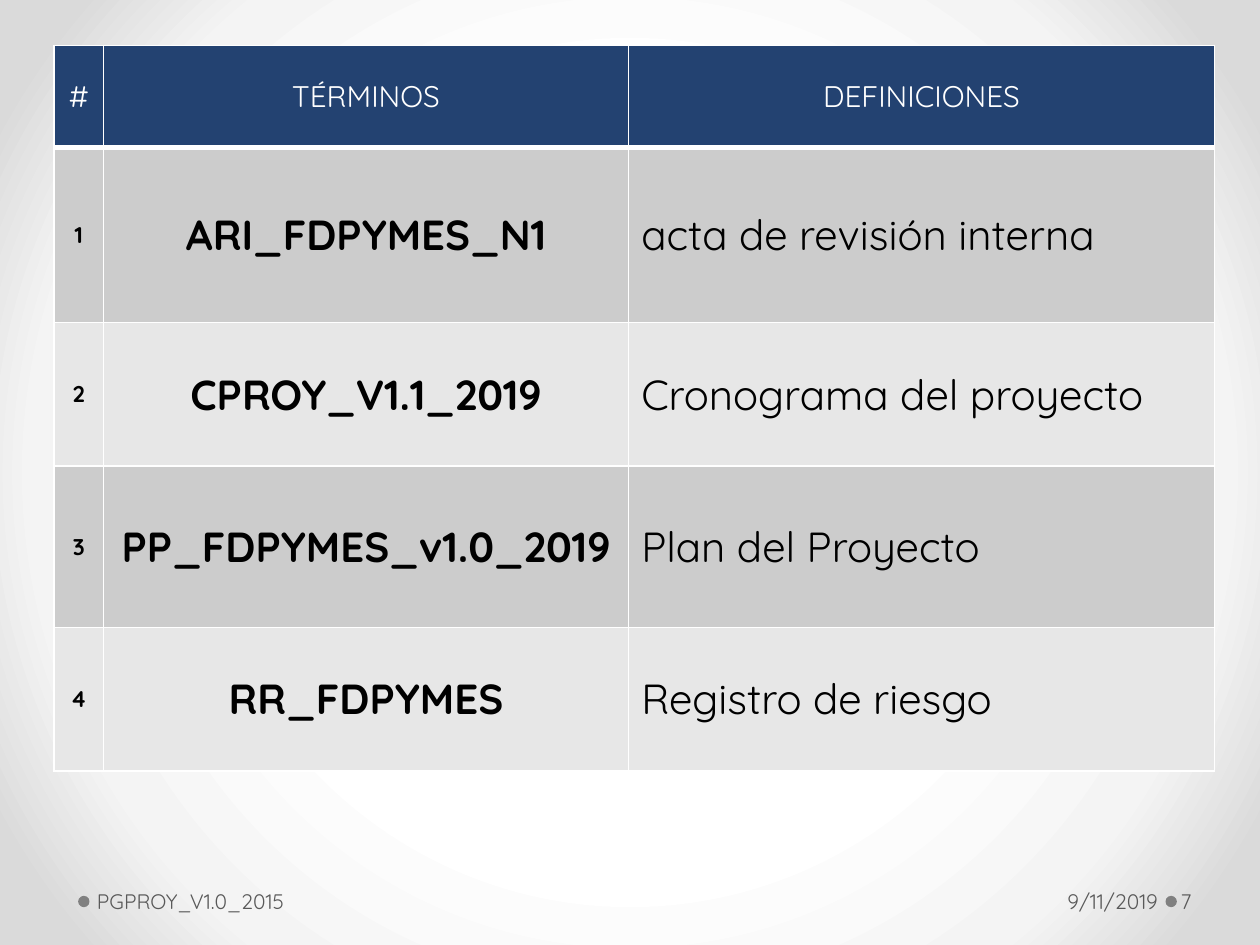
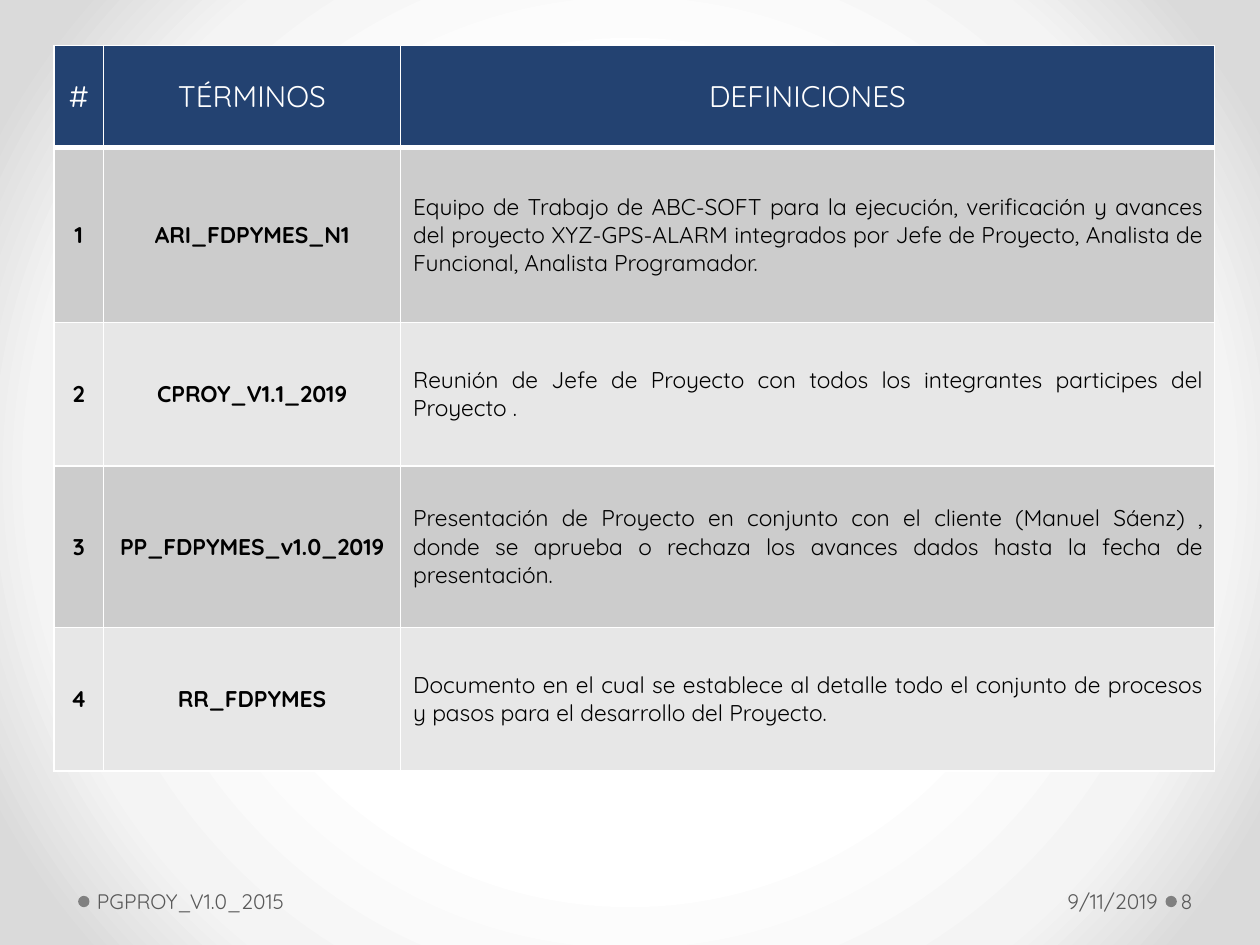
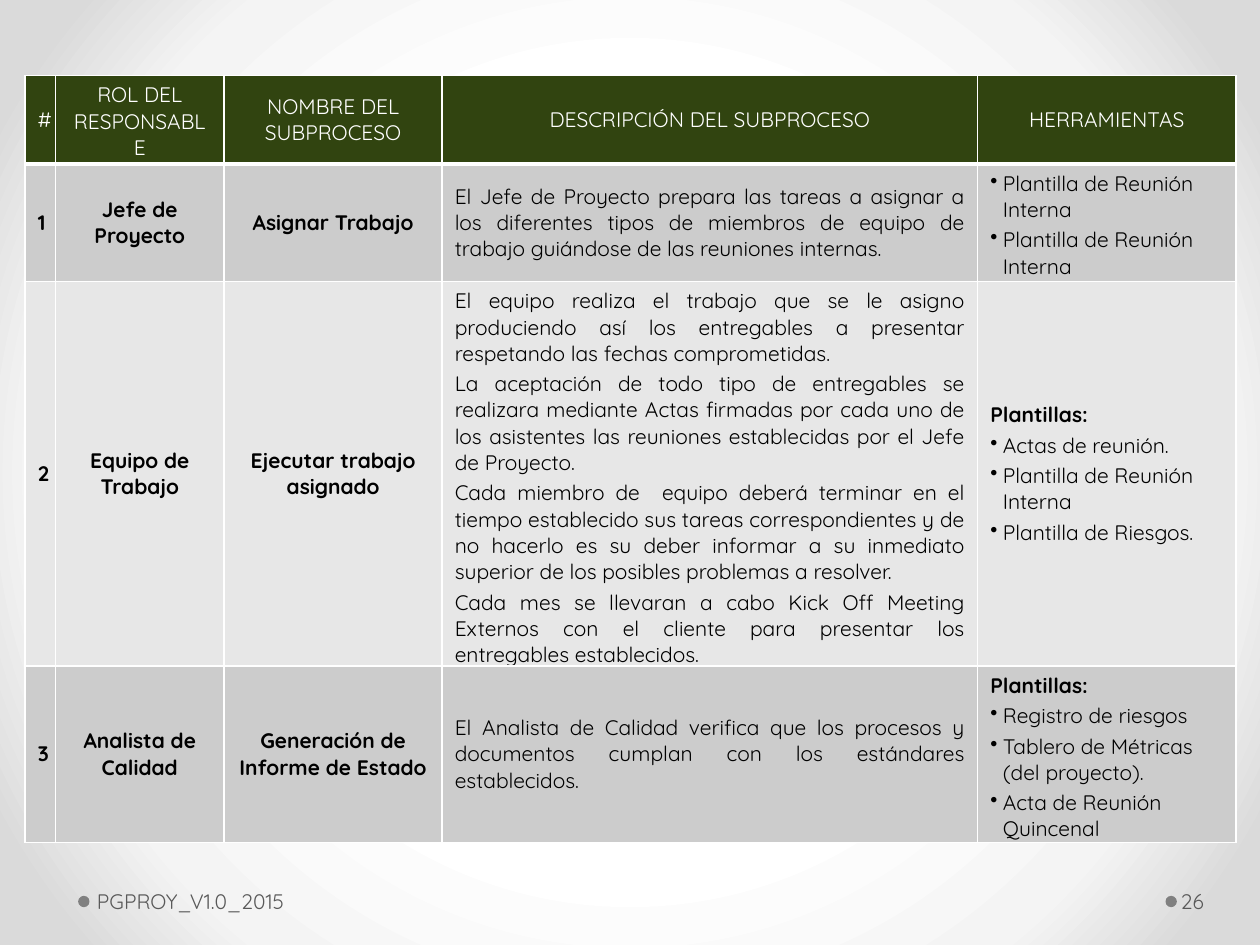
from dataclasses import dataclass
from typing import Optional

from pptx import Presentation
from pptx.dml.color import RGBColor
from pptx.enum.shapes import MSO_SHAPE
from pptx.enum.text import MSO_ANCHOR, PP_ALIGN
from pptx.oxml import parse_xml
from pptx.oxml.ns import nsdecls, qn
from pptx.slide import Slide
from pptx.table import _Cell
from pptx.text.text import _Paragraph
from pptx.util import Pt

EMU_PER_PX = 9144
FONT = "Quicksand"
COLORS = {
    "white": "FFFFFF",
    "black": "000000",
    "glow_mid": "F4F4F4",
    "glow_edge": "DADADA",
    "dot": "808080",
    "footer": "595959",
    "navy": "234271",
    "olive": "314410",
    "band_dark": "CCCCCC",
    "band_light": "E7E7E7",
}
GLOW_STOPS = [(50, "white"), (76, "glow_mid"), (92, "glow_edge")]
DOT_LEFTS = [925, 62]
DOT_TOP, DOT_SIZE = 711, 9
FOOTER_TOP, FOOTER_HEIGHT = 695, 40
FOOTER_SIZE = 12
BULLET_INDENT = 10


@dataclass(frozen=True)
class Column:
    """Heading, width and text style of one table column."""
    heading: str
    width: int
    size: int
    align: PP_ALIGN = PP_ALIGN.CENTER
    bold: bool = False
    spaced: bool = True
    bulleted: bool = False


@dataclass(frozen=True)
class Grid:
    """A table with a coloured heading row and banded entries."""
    left: int
    top: int
    heading_color: str
    heading_size: int
    columns: list[Column]
    row_heights: list[int]
    entries: list[tuple[str, ...]]


@dataclass(frozen=True)
class Page:
    """One slide: its number, optional date and table."""
    number: int
    date: Optional[str]
    grid: Grid


@dataclass(frozen=True)
class FooterField:
    """Place, side insets and alignment of a footer text."""
    left: int
    width: int
    inset_left: int
    inset_right: int
    align: PP_ALIGN = PP_ALIGN.LEFT


NUMBER_FIELD = FooterField(934, 61, 3, 5)
DOCUMENT_FIELD = FooterField(72, 396, 5, 10)
DATE_FIELD = FooterField(696, 228, 10, 5, PP_ALIGN.RIGHT)

TERMS = ["ARI_FDPYMES_N1", "CPROY_V1.1_2019", "PP_FDPYMES_v1.0_2019", "RR_FDPYMES"]
SHORT_DEFINITIONS = [
    "acta de revisión interna",
    "Cronograma del proyecto",
    "Plan del Proyecto",
    "Registro de riesgo",
]
LONG_DEFINITIONS = [
    "Equipo de Trabajo de ABC-SOFT para la ejecución, verificación y avances del "
    "proyecto XYZ-GPS-ALARM integrados por Jefe de Proyecto, Analista de Funcional, "
    "Analista Programador.",
    "Reunión de Jefe de Proyecto con todos los integrantes participes del Proyecto .",
    "Presentación de Proyecto en conjunto con el cliente (Manuel Sáenz) , donde se "
    "aprueba o rechaza los avances dados hasta la fecha de presentación.",
    "Documento en el cual se establece al detalle todo el conjunto de procesos y pasos "
    "para el desarrollo del Proyecto.",
]
SUBPROCESSES = [
    (
        "1", "Jefe de Proyecto", "Asignar Trabajo",
        "El Jefe de Proyecto prepara las tareas a asignar a los diferentes tipos de "
        "miembros de equipo de trabajo guiándose de las reuniones internas.",
        "Plantilla de Reunión Interna\nPlantilla de Reunión Interna",
    ),
    (
        "2", "Equipo de Trabajo", "Ejecutar trabajo asignado",
        "El equipo realiza el trabajo que se le asigno produciendo así los entregables "
        "a presentar respetando las fechas comprometidas.\n"
        "La aceptación de todo tipo de entregables se realizara mediante Actas firmadas "
        "por cada uno de los asistentes las reuniones establecidas por el Jefe de Proyecto.\n"
        "Cada miembro de  equipo deberá terminar en el tiempo establecido sus tareas "
        "correspondientes y de no hacerlo es su deber informar a su inmediato superior "
        "de los posibles problemas a resolver.\n"
        "Cada mes se llevaran a cabo Kick Off Meeting Externos con el cliente para "
        "presentar los entregables establecidos.",
        "Plantillas:\nActas de reunión.\nPlantilla de Reunión Interna\nPlantilla de Riesgos.",
    ),
    (
        "3", "Analista de Calidad", "Generación de Informe de Estado",
        "El Analista de Calidad verifica que los procesos y documentos cumplan con los "
        "estándares establecidos.",
        "Plantillas:\nRegistro de riesgos\nTablero de Métricas (del proyecto).\n"
        "Acta de Reunión Quincenal",
    ),
]


def px(length: int) -> int:
    """Turn px into EMU."""
    return length * EMU_PER_PX


def rgb(color: str) -> RGBColor:
    """Look up a named colour."""
    return RGBColor.from_string(COLORS[color])


def glossary(term_width: int, definition_width: int, size: int, definitions: list[str]) -> Grid:
    """Describe a table of the project terms with the given definitions."""
    columns = [
        Column("#", 39, 13, bold=True, spaced=False),
        Column("TÉRMINOS", term_width, size, bold=True),
        Column("DEFINICIONES", definition_width, size, PP_ALIGN.JUSTIFY),
    ]
    entries = [
        (str(order), term, definition)
        for order, (term, definition) in enumerate(zip(TERMS, definitions), 1)
    ]
    return Grid(43, 36, "navy", 17, columns, [81, 139, 114, 128, 114], entries)


SUBPROCESS_GRID = Grid(
    20, 60, "olive", 12,
    [
        Column("#", 24, 12, bold=True),
        Column("ROL DEL RESPONSABLE", 134, 12, bold=True),
        Column("NOMBRE DEL SUBPROCESO", 173, 12, bold=True),
        Column("DESCRIPCIÓN DEL SUBPROCESO", 425, 12, PP_ALIGN.JUSTIFY),
        Column("HERRAMIENTAS", 205, 12, PP_ALIGN.LEFT, bulleted=True),
    ],
    [70, 93, 305, 140],
    SUBPROCESSES,
)
PAGES = [
    Page(7, "9/11/2019", glossary(417, 465, 24, SHORT_DEFINITIONS)),
    Page(8, "9/11/2019", glossary(236, 646, 13, LONG_DEFINITIONS)),
    Page(26, None, SUBPROCESS_GRID),
]


def style_paragraph(paragraph: _Paragraph, size: int, color: str,
                    align: PP_ALIGN, bold: bool = False) -> None:
    """Align a paragraph and format its runs."""
    paragraph.alignment = align
    for run in paragraph.runs:
        run.font.name = FONT
        run.font.size = Pt(size)
        run.font.bold = bold
        run.font.color.rgb = rgb(color)


def add_bullet(paragraph: _Paragraph) -> None:
    """Give a paragraph a hanging bullet."""
    properties = paragraph._p.get_or_add_pPr()
    properties.set("marL", str(px(BULLET_INDENT)))
    properties.set("indent", str(-px(BULLET_INDENT)))
    properties.append(parse_xml(f'<a:buChar {nsdecls("a")} char="•"/>'))


def paint_cell(cell: _Cell, fill: str, bottom_width: int = 1) -> None:
    """Draw the white borders and the fill of a cell."""
    properties = cell._tc.get_or_add_tcPr()
    for side, width in (("L", 1), ("R", 1), ("T", 1), ("B", bottom_width)):
        properties.append(parse_xml(
            f'<a:ln{side} {nsdecls("a")} w="{Pt(width)}"><a:solidFill>'
            f'<a:srgbClr val="{COLORS["white"]}"/></a:solidFill></a:ln{side}>'
        ))
    cell.fill.solid()
    cell.fill.fore_color.rgb = rgb(fill)
    cell.vertical_anchor = MSO_ANCHOR.MIDDLE


def fill_entry(cell: _Cell, text: str, column: Column) -> None:
    """Write an entry in the style of its column."""
    cell.text_frame.text = text
    for paragraph in cell.text_frame.paragraphs:
        subheading = column.bulleted and paragraph.text.endswith(":")
        style_paragraph(paragraph, column.size, "black", column.align, column.bold or subheading)
        if column.spaced:
            paragraph.space_before = Pt(column.size * 0.2)
        if column.bulleted and not subheading:
            add_bullet(paragraph)


def add_grid(slide: Slide, grid: Grid) -> None:
    """Draw a table with its heading row and entries."""
    table = slide.shapes.add_table(
        len(grid.row_heights), len(grid.columns), px(grid.left), px(grid.top),
        px(sum(column.width for column in grid.columns)), px(sum(grid.row_heights)),
    ).table
    table.first_row = table.horz_banding = False
    for row, height in zip(table.rows, grid.row_heights):
        row.height = px(height)
    for index, column in enumerate(grid.columns):
        table.columns[index].width = px(column.width)
        heading = table.cell(0, index)
        paint_cell(heading, grid.heading_color, bottom_width=3)
        heading.text_frame.text = column.heading
        style_paragraph(heading.text_frame.paragraphs[0], grid.heading_size,
                        "white", PP_ALIGN.CENTER)
        for order, entry in enumerate(grid.entries, 1):
            cell = table.cell(order, index)
            paint_cell(cell, "band_dark" if order % 2 else "band_light")
            fill_entry(cell, entry[index], column)


def add_glow(slide: Slide) -> None:
    """Set the radial grey background."""
    stops = "".join(
        f'<a:gs pos="{position * 1000}"><a:srgbClr val="{COLORS[color]}"/></a:gs>'
        for position, color in GLOW_STOPS
    )
    background = parse_xml(
        f'<p:bg {nsdecls("p", "a")}><p:bgPr><a:gradFill rotWithShape="1">'
        f'<a:gsLst>{stops}</a:gsLst><a:path path="circle">'
        '<a:fillToRect l="50000" t="50000" r="50000" b="50000"/></a:path>'
        '</a:gradFill><a:effectLst/></p:bgPr></p:bg>'
    )
    slide.element.find(qn("p:cSld")).insert(0, background)


def add_dots(slide: Slide) -> None:
    """Draw the footer dots."""
    for left in DOT_LEFTS:
        dot = slide.shapes.add_shape(
            MSO_SHAPE.OVAL, px(left), px(DOT_TOP), px(DOT_SIZE), px(DOT_SIZE))
        dot.shadow.inherit = False
        dot.fill.solid()
        dot.fill.fore_color.rgb = rgb("dot")
        dot.line.fill.background()


def add_footer(slide: Slide, text: str, field: FooterField) -> None:
    """Write one footer text."""
    frame = slide.shapes.add_textbox(
        px(field.left), px(FOOTER_TOP), px(field.width), px(FOOTER_HEIGHT)).text_frame
    frame.word_wrap = True
    frame.vertical_anchor = MSO_ANCHOR.MIDDLE
    frame.margin_left = px(field.inset_left)
    frame.margin_right = px(field.inset_right)
    frame.margin_top = frame.margin_bottom = px(5)
    frame.text = text
    style_paragraph(frame.paragraphs[0], FOOTER_SIZE, "footer", field.align)


def main() -> None:
    """Build the presentation."""
    presentation = Presentation()
    presentation.slide_width = px(1000)
    presentation.slide_height = px(750)
    for page in PAGES:
        slide = presentation.slides.add_slide(presentation.slide_layouts[6])
        add_glow(slide)
        add_dots(slide)
        add_footer(slide, str(page.number), NUMBER_FIELD)
        add_grid(slide, page.grid)
        add_footer(slide, "PGPROY_V1.0_2015", DOCUMENT_FIELD)
        if page.date:
            add_footer(slide, page.date, DATE_FIELD)
    presentation.save("out.pptx")


if __name__ == "__main__":
    main()
